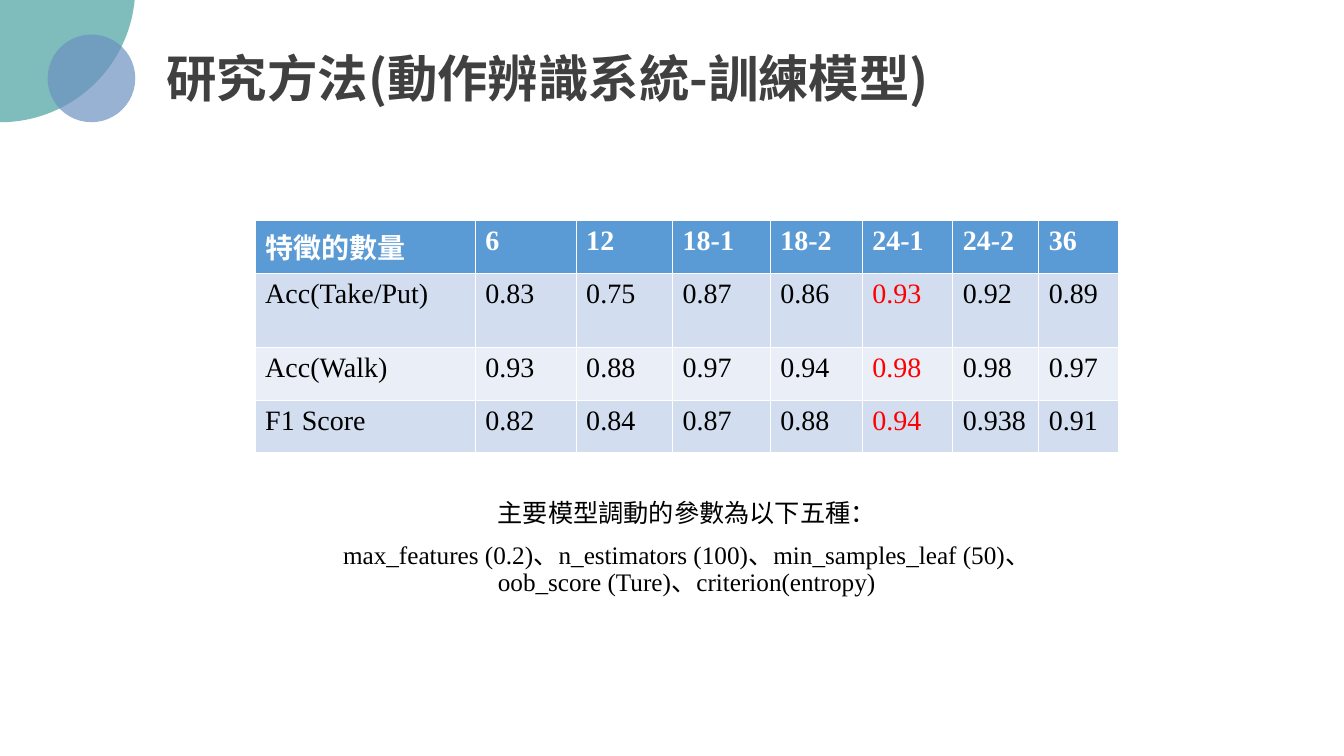
from pptx import Presentation
from pptx.dml.color import RGBColor
from pptx.enum.shapes import MSO_SHAPE
from pptx.enum.text import MSO_ANCHOR, PP_ALIGN
from pptx.oxml import parse_xml
from pptx.oxml.ns import nsdecls
from pptx.util import Cm, Pt

TITLE = "研究方法(動作辨識系統-訓練模型)"
PARAMETERS = [
    "主要模型調動的參數為以下五種：",
    "max_features (0.2)、n_estimators (100)、min_samples_leaf (50)、\v"
    "oob_score (Ture)、criterion(entropy)",
]
RESULTS = [
    ("特徵的數量", "6", "12", "18-1", "18-2", "24-1", "24-2", "36"),
    ("Acc(Take/Put)", "0.83", "0.75", "0.87", "0.86", "0.93", "0.92", "0.89"),
    ("Acc(Walk)", "0.93", "0.88", "0.97", "0.94", "0.98", "0.98", "0.97"),
    ("F1 Score", "0.82", "0.84", "0.87", "0.88", "0.94", "0.938", "0.91"),
]
BEST_COLUMN = RESULTS[0].index("24-1")
COLUMN_WIDTHS = (5.55, 2.54, 2.43, 2.46, 2.32, 2.28, 2.17, 2.0)
ROW_HEIGHTS = (1.33, 1.87, 1.33, 1.31)
TABLE_LEFT, TABLE_TOP = 6.43, 5.56
CIRCLES = [  # left, top, diameter, colour
    (-3.4, -3.73, 6.81, "48A2A0"),
    (1.2, 0.87, 2.21, "6C92C0"),
]
CIRCLE_OPACITY = 70
HEADER_FILL, BAND_FILLS = "5B9BD5", ("D2DEEF", "EAEFF7")
TITLE_FONT, BODY_FONT = "Noto Sans CJK SC", "Times New Roman"


def colour(hex_value):
    return RGBColor.from_string(hex_value)


def format_runs(paragraph, font_name, size, hex_value, bold=False):
    for run in paragraph.runs:
        run.font.name = font_name
        run.font.size = Pt(size)
        run.font.bold = bold
        run.font.color.rgb = colour(hex_value)


def place(shape, left, top, width, height):
    shape.left, shape.top = Cm(left), Cm(top)
    shape.width, shape.height = Cm(width), Cm(height)


def add_circle(slide, left, top, diameter, hex_value):
    circle = slide.shapes.add_shape(
        MSO_SHAPE.OVAL, Cm(left), Cm(top), Cm(diameter), Cm(diameter))
    circle.shadow.inherit = False
    circle.line.fill.background()
    circle.fill.solid()
    circle.fill.fore_color.rgb = colour(hex_value)
    fill_colour = circle._element.spPr.find(".//{*}srgbClr")
    fill_colour.append(parse_xml(
        f'<a:alpha {nsdecls("a")} val="{CIRCLE_OPACITY * 1000}"/>'))


def fill_title(title):
    place(title, 3.94, 1.07, 20.4, 1.8)
    frame = title.text_frame
    frame.text = TITLE
    frame.word_wrap = True
    frame.vertical_anchor = MSO_ANCHOR.TOP
    paragraph = frame.paragraphs[0]
    paragraph.alignment = PP_ALIGN.LEFT
    format_runs(paragraph, TITLE_FONT, 36, "404040", bold=True)


def fill_parameters(body):
    place(body, TABLE_LEFT, 12.5, sum(COLUMN_WIDTHS), 3.33)
    frame = body.text_frame
    frame.text = "\n".join(PARAMETERS)
    for paragraph in frame.paragraphs:
        paragraph.alignment = PP_ALIGN.CENTER
        paragraph.line_spacing = 0.9
        paragraph.space_before = Pt(10)
        properties = paragraph._p.get_or_add_pPr()
        properties.set("marL", "0")
        properties.set("indent", "0")
        properties.append(parse_xml(f'<a:buNone {nsdecls("a")}/>'))
        format_runs(paragraph, BODY_FONT, 18, "000000")


def add_results(slide):
    table = slide.shapes.add_table(
        len(RESULTS), len(COLUMN_WIDTHS), Cm(TABLE_LEFT), Cm(TABLE_TOP),
        Cm(sum(COLUMN_WIDTHS)), Cm(sum(ROW_HEIGHTS))).table
    for column, width in zip(table.columns, COLUMN_WIDTHS):
        column.width = Cm(width)
    for row, height in zip(table.rows, ROW_HEIGHTS):
        row.height = Cm(height)
    for i, values in enumerate(RESULTS):
        is_header = i == 0
        for j, value in enumerate(values):
            cell = table.cell(i, j)
            cell.fill.solid()
            cell.fill.fore_color.rgb = colour(
                HEADER_FILL if is_header else BAND_FILLS[(i - 1) % 2])
            cell.text_frame.text = value
            if is_header:
                text_colour = "FFFFFF"
            else:
                text_colour = "FF0000" if j == BEST_COLUMN else "000000"
            format_runs(cell.text_frame.paragraphs[0], BODY_FONT, 20,
                        text_colour, bold=is_header)


def main():
    presentation = Presentation()
    presentation.slide_width, presentation.slide_height = Cm(33.87), Cm(19.05)
    slide = presentation.slides.add_slide(presentation.slide_layouts[1])
    for circle in CIRCLES:
        add_circle(slide, *circle)
    fill_title(slide.shapes.title)
    fill_parameters(slide.placeholders[1])
    add_results(slide)
    presentation.save("out.pptx")


if __name__ == "__main__":
    main()
